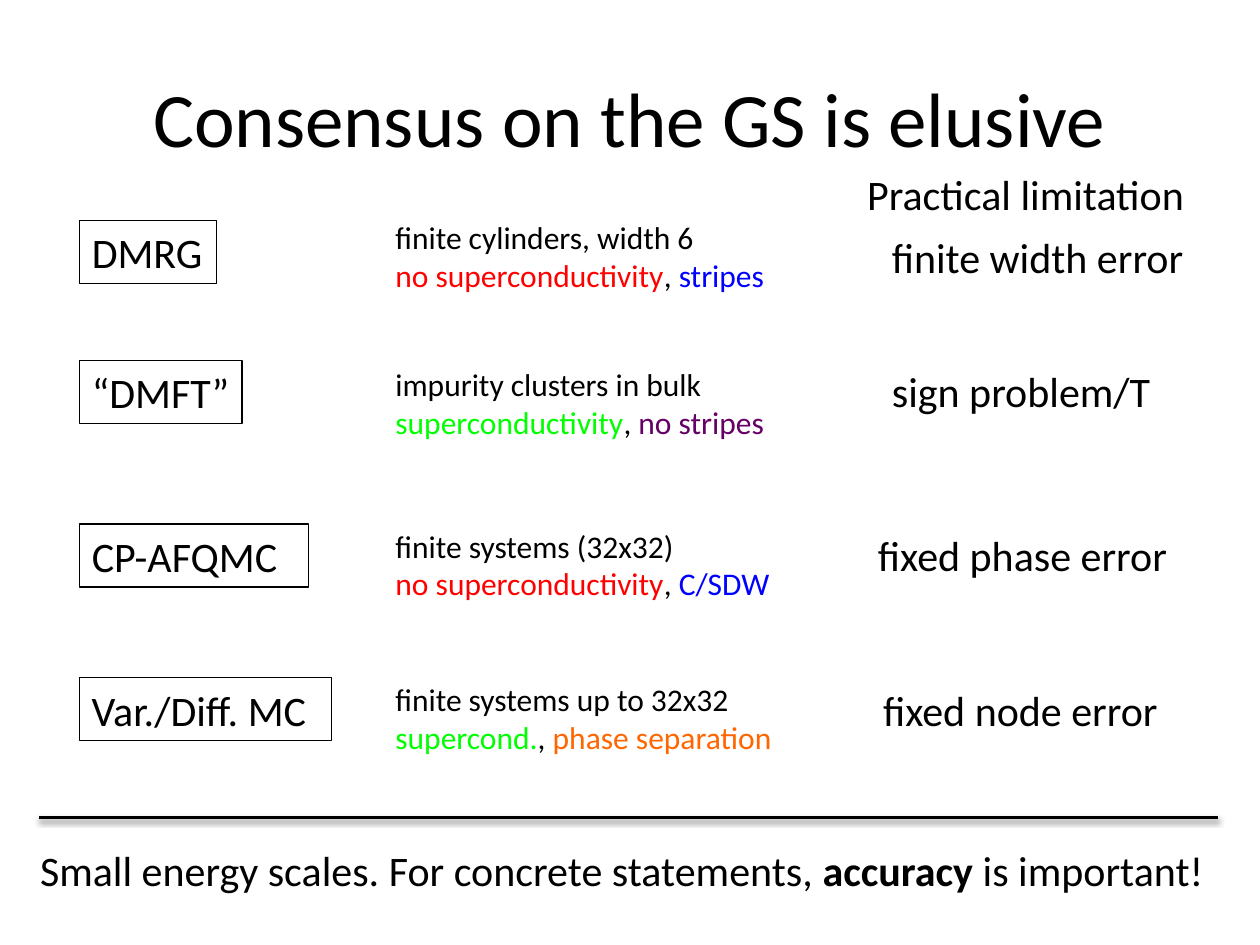
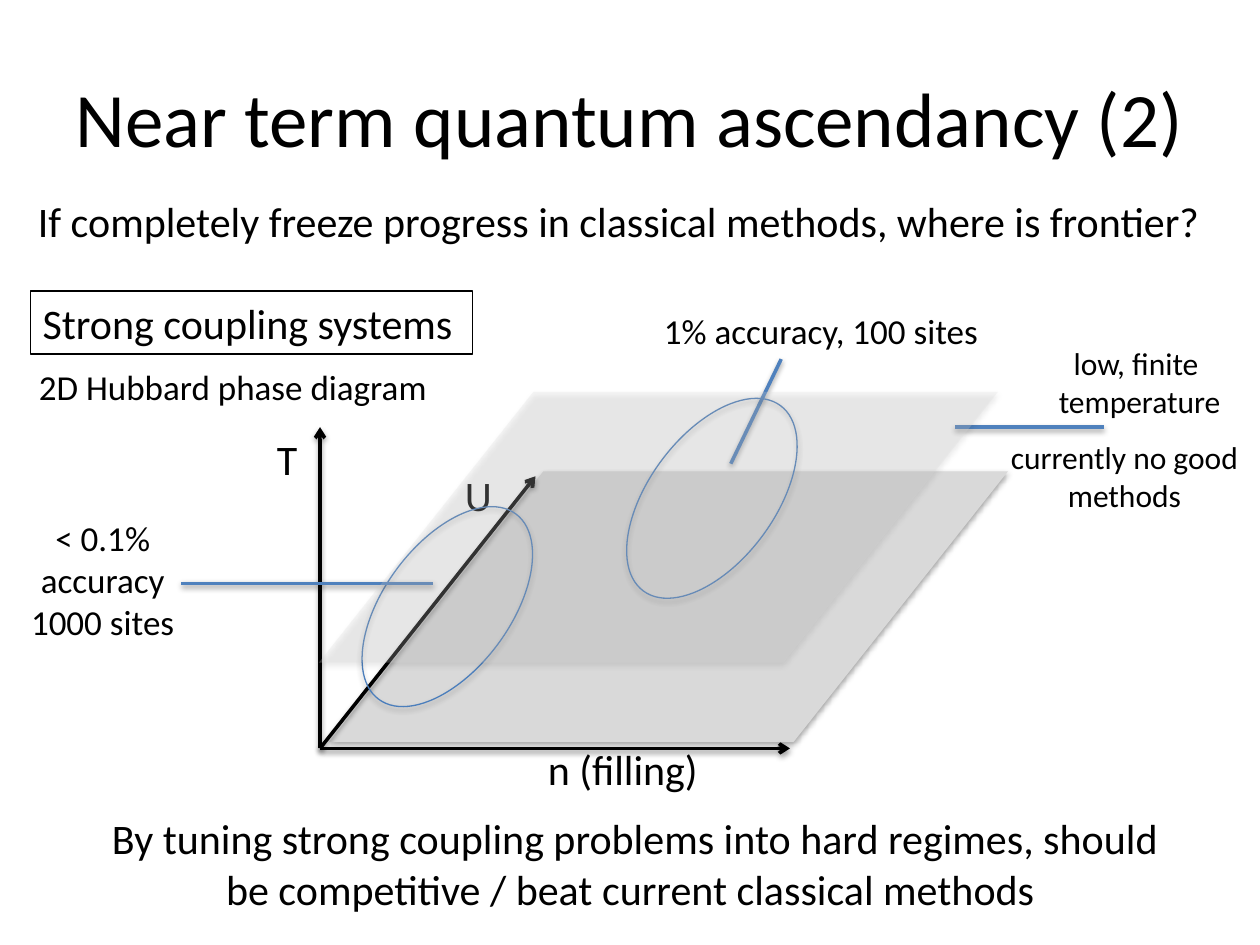
from dataclasses import dataclass

from lxml import etree
from pptx import Presentation
from pptx.dml.color import RGBColor
from pptx.enum.shapes import MSO_CONNECTOR, MSO_SHAPE
from pptx.enum.text import MSO_ANCHOR, MSO_AUTO_SIZE, PP_ALIGN
from pptx.oxml.ns import qn
from pptx.util import Inches, Pt

RECT, OVAL, PLANE = MSO_SHAPE.RECTANGLE, MSO_SHAPE.OVAL, MSO_SHAPE.PARALLELOGRAM
LINE = MSO_CONNECTOR.STRAIGHT
LEFT, MID = PP_ALIGN.LEFT, PP_ALIGN.CENTER
FIT, CENTER = MSO_AUTO_SIZE.SHAPE_TO_FIT_TEXT, MSO_ANCHOR.MIDDLE

FONT = "Calibri"
BLACK, GRAY, BLUE, RIM = "000000", "D9D9D9", "4F81BD", "4B7EBC"
RED, NAVY, GREEN, PLUM, ORANGE = "FF0000", "0000FF", "00FF00", "660066", "FF6600"


@dataclass
class Span:
    text: str
    color: str = BLACK
    bold: bool = False


@dataclass
class Method:
    name: str
    box: tuple
    scope: str
    found: list
    top: float
    width: float
    limit: str
    spot: tuple


def rgb(color: str) -> RGBColor:
    return RGBColor.from_string(color)


def child(node, tag: str, **attrs):
    return etree.SubElement(node, qn(tag), {k: str(v) for k, v in attrs.items()})


def shade(shape, alpha: int, dist: int) -> None:
    """Give a shape or line a soft shadow straight below it."""
    props = shape._element.spPr
    for old in props.findall(qn("a:effectLst")):
        props.remove(old)
    drop = child(child(props, "a:effectLst"), "a:outerShdw", blurRad=40000,
                 dist=dist, dir=5400000, rotWithShape=0)
    child(child(drop, "a:srgbClr", val=BLACK), "a:alpha", val=alpha * 1000)


def fill_text(shape, lines: list, size: int, align) -> None:
    """Write lines; each is a string or a list of spans."""
    frame = shape.text_frame
    for i, line in enumerate(lines):
        para = frame.paragraphs[0] if i == 0 else frame.add_paragraph()
        para.alignment = align
        para.font.size, para.font.name = Pt(size), FONT
        para.font.color.rgb = rgb(BLACK)
        for span in [Span(line)] if isinstance(line, str) else line:
            run = para.add_run()
            run.text = span.text
            if span.color != BLACK:
                run.font.color.rgb = rgb(span.color)
            if span.bold:
                run.font.bold = True


def label(slide, at: tuple, lines: list, size: int = 24, align=LEFT):
    box = slide.shapes.add_textbox(*map(Inches, at))
    box.text_frame.word_wrap = False
    box.text_frame.auto_size = FIT
    fill_text(box, lines, size, align)
    return box


def frame(slide, at: tuple, text: str) -> None:
    """Outlined tag."""
    box = label(slide, at, [text])
    box.line.color.rgb = rgb(BLACK)
    box.line.width = Pt(0.75)


def title(slide, text: str) -> None:
    box = slide.shapes.add_textbox(*map(Inches, (0.5, 0.3, 9, 1.25)))
    box.text_frame.word_wrap = True
    box.text_frame.vertical_anchor = CENTER
    fill_text(box, [text], 44, MID)


def rule(slide, start: tuple, end: tuple, color: str = BLACK, arrow: bool = False) -> None:
    line = slide.shapes.add_connector(LINE, *map(Inches, start + end))
    line.line.color.rgb = rgb(color)
    line.line.width = Pt(2)
    if arrow:
        child(line.line._get_or_add_ln(), "a:tailEnd", type="arrow")
    shade(line, 38, 20000)


def plane(slide, left: float, top: float, alpha: int = 100) -> None:
    shape = slide.shapes.add_shape(PLANE, *map(Inches, (left, top, 5.39, 2.15)))
    shape.adjustments[0] = 0.792
    shape.fill.solid()
    shape.fill.fore_color.rgb = rgb(GRAY)
    if alpha < 100:
        tint = shape._element.spPr.find(qn("a:solidFill"))[0]
        child(tint, "a:alpha", val=alpha * 1000)
    shape.line.fill.background()
    shade(shape, 35, 23000)


def ring(slide, left: float, top: float) -> None:
    shape = slide.shapes.add_shape(OVAL, *map(Inches, (left, top, 1, 1.83)))
    shape.rotation = 36.5
    shape.fill.background()
    shape.line.color.rgb = rgb(RIM)
    shape.line.width = Pt(0.75)
    shade(shape, 35, 23000)


METHODS = [
    Method("DMRG", (1.75, 1.09), "finite cylinders, width 6",
           [Span("no superconductivity", RED), Span(", "), Span("stripes", NAVY)],
           1.68, 3.16, "finite width error", (6.98, 1.79, 2.55)),
    Method("“DMFT”", (2.86, 1.29), "impurity clusters in bulk",
           [Span("superconductivity", GREEN), Span(","), Span(" no stripes", PLUM)],
           2.85, 3.16, "sign problem/T", (6.98, 2.85, 2.28)),
    Method("CP-AFQMC", (4.16, 1.82), "finite systems (32x32)",
           [Span("no superconductivity", RED), Span(", "), Span("C/SDW", NAVY)],
           4.13, 3.21, "fixed phase error", (6.87, 4.15, 2.53)),
    Method("Var./Diff. MC", (5.38, 2), "finite systems up to 32x32",
           [Span("supercond.", GREEN), Span(", "), Span("phase separation", ORANGE)],
           5.35, 3.23, "fixed node error", (6.91, 5.38, 2.42)),
]


def consensus(slide) -> None:
    title(slide, "Consensus on the GS is elusive")
    label(slide, (6.76, 1.29, 2.76, 0.5), ["Practical limitation"], align=MID)
    # One row per method
    for row in METHODS:
        top, width = row.box
        frame(slide, (0.63, top, width, 0.5), row.name)
        label(slide, (3.04, row.top, row.width, 0.71), [row.scope, row.found], 18)
        label(slide, row.spot + (0.5,), [row.limit])
    # Closing remark
    rule(slide, (0.31, 6.49), (9.67, 6.49))
    label(slide, (0.22, 6.65, 9.56, 0.5),
          [[Span("Small energy scales. For concrete statements, "),
            Span("accuracy ", bold=True), Span("is important!")]])


def frontier(slide) -> None:
    label(slide, (5.17, 2.41, 2.75, 0.44), ["1% accuracy, 100 sites"], 20)
    rule(slide, (5.8, 3.68), (6.2, 2.85), BLUE)
    title(slide, "Near term quantum ascendancy (2)")
    frame(slide, (0.24, 2.31, 3.51, 0.5), "Strong coupling systems")
    label(slide, (0.08, 1.5, 9.66, 0.5),
          ["If completely freeze progress in classical methods, where is frontier?"],
          align=MID)
    # Phase diagram: ground plane, axes and their names
    plane(slide, 2.61, 3.74)
    for tip in ((2.54, 3.39), (6.27, 5.94), (4.25, 3.78)):
        rule(slide, (2.54, 5.94), tip, arrow=True)
    for name, left, top, width in (("T", 2.1, 3.39, 0.37), ("U", 3.59, 3.68, 0.42),
                                   ("n (filling)", 4.25, 5.85, 1.4)):
        label(slide, (left, top, width, 0.5), [name])
    label(slide, (0.21, 2.85, 3.32, 0.44), ["2D Hubbard phase diagram"], 20)
    # Regions and callouts
    ring(slide, 3.05, 3.9)
    label(slide, (0.14, 4.05, 1.35, 1.11), ["< 0.1%", "accuracy", "1000 sites"], 20, MID)
    rule(slide, (1.44, 4.63), (3.44, 4.63), BLUE)
    ring(slide, 5.15, 3.04)
    rule(slide, (7.58, 3.39), (8.76, 3.39), BLUE)
    label(slide, (8.29, 2.68, 1.51, 0.71), ["low, finite ", "temperature"], 18, MID)
    label(slide, (7.91, 3.43, 2.03, 0.71), ["currently no good", "methods"], 18, MID)
    label(slide, (0.73, 6.4, 8.62, 0.91),
          ["By tuning strong coupling problems into hard regimes, should",
           "be competitive / beat current classical methods "], align=MID)
    # Finite temperature plane lies over the rest
    plane(slide, 2.53, 3.11, 23)


def main() -> None:
    deck = Presentation()
    deck.slide_width, deck.slide_height = Inches(10), Inches(7.5)
    for draw in (consensus, frontier):
        draw(deck.slides.add_slide(deck.slide_layouts[6]))
    deck.save("out.pptx")


if __name__ == "__main__":
    main()
